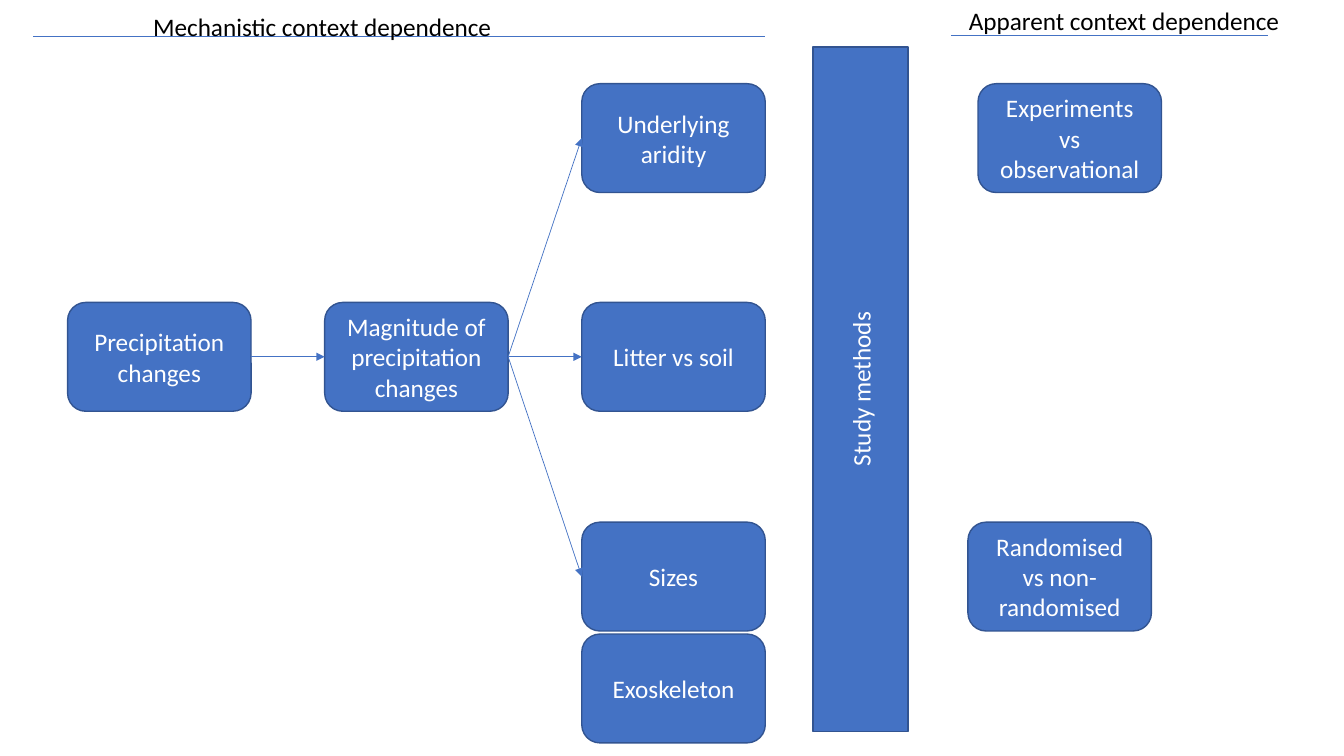
from dataclasses import dataclass

from lxml import etree
from pptx import Presentation
from pptx.dml.color import RGBColor
from pptx.enum.shapes import MSO_CONNECTOR, MSO_SHAPE
from pptx.enum.text import MSO_ANCHOR, MSO_AUTO_SIZE, PP_ALIGN
from pptx.oxml.ns import qn
from pptx.util import Inches, Pt


@dataclass(frozen=True)
class Theme:
    fill: RGBColor = RGBColor(0x44, 0x72, 0xC4)
    edge: RGBColor = RGBColor(0x32, 0x54, 0x91)
    light: RGBColor = RGBColor(0xFF, 0xFF, 0xFF)
    dark: RGBColor = RGBColor(0, 0, 0)
    font: str = "Calibri"
    size: Pt = Pt(18)
    edge_width: Pt = Pt(1)
    line_width: Pt = Pt(0.5)


THEME = Theme()
BOX_W, BOX_H = 1.82, 1.08
TOP, MIDDLE, LOW, BOTTOM = 0.83, 3, 5.18, 6.29
FACTOR_X = 5.77

BOXES = {
    "Precipitation changes": (0.67, MIDDLE),
    "Magnitude of precipitation changes": (3.22, MIDDLE),
    "Underlying aridity": (FACTOR_X, TOP),
    "Litter vs soil": (FACTOR_X, MIDDLE),
    "Sizes": (FACTOR_X, LOW),
    "Exoskeleton": (FACTOR_X, BOTTOM),
    "Experiments vs observational": (9.7, TOP),
    "Randomised vs non-randomised": (9.6, LOW),
}
ARROWS = [
    ("Precipitation changes", "Magnitude of precipitation changes"),
    ("Magnitude of precipitation changes", "Underlying aridity"),
    ("Magnitude of precipitation changes", "Litter vs soil"),
    ("Magnitude of precipitation changes", "Sizes"),
]
HEADINGS = [
    ("Mechanistic context dependence", (1.42, 0.06, 3.6, 0.4), (0.33, 7.59, 0.36)),
    ("Apparent context dependence", (9.51, 0, 3.32, 0.4), (9.43, 12.58, 0.35)),
]
STUDY_BAR = ("Study methods", (5.14, 3.39, 6.79, 0.94))
LEFT_SITE, RIGHT_SITE = 1, 3

prs = Presentation()
prs.slide_width, prs.slide_height = Inches(13.33), Inches(7.5)
slide = prs.slides.add_slide(prs.slide_layouts[6])
shapes = slide.shapes


def write(frame, text, color, align):
    paragraph = frame.paragraphs[0]
    paragraph.alignment = align
    run = paragraph.add_run()
    run.text = text
    run.font.name, run.font.size = THEME.font, THEME.size
    run.font.color.rgb = color


def add_block(kind, text, place):
    block = shapes.add_shape(kind, *map(Inches, place))
    block.shadow.inherit = False
    block.fill.solid()
    block.fill.fore_color.rgb = THEME.fill
    block.line.color.rgb = THEME.edge
    block.line.width = THEME.edge_width
    block.text_frame.word_wrap = True
    block.text_frame.vertical_anchor = MSO_ANCHOR.MIDDLE
    write(block.text_frame, text, THEME.light, PP_ALIGN.CENTER)
    return block


def add_line(x1=0, y1=0, x2=0, y2=0):
    line = shapes.add_connector(MSO_CONNECTOR.STRAIGHT, *map(Inches, (x1, y1, x2, y2)))
    line.line.color.rgb = THEME.fill
    line.line.width = THEME.line_width
    etree.SubElement(line._element.spPr, qn("a:effectLst"))
    return line


boxes = {
    text: add_block(MSO_SHAPE.ROUNDED_RECTANGLE, text, (x, y, BOX_W, BOX_H))
    for text, (x, y) in BOXES.items()
}
add_block(MSO_SHAPE.RECTANGLE, *STUDY_BAR).rotation = 270

for source, target in ARROWS:
    arrow = add_line()
    arrow.begin_connect(boxes[source], RIGHT_SITE)
    arrow.end_connect(boxes[target], LEFT_SITE)
    etree.SubElement(arrow.line._get_or_add_ln(), qn("a:tailEnd"), type="triangle")

for text, place, (start, end, y) in HEADINGS:
    add_line(start, y, end, y)
    frame = shapes.add_textbox(*map(Inches, place)).text_frame
    frame.word_wrap = False
    frame.auto_size = MSO_AUTO_SIZE.SHAPE_TO_FIT_TEXT
    write(frame, text, THEME.dark, PP_ALIGN.LEFT)

prs.save("out.pptx")
